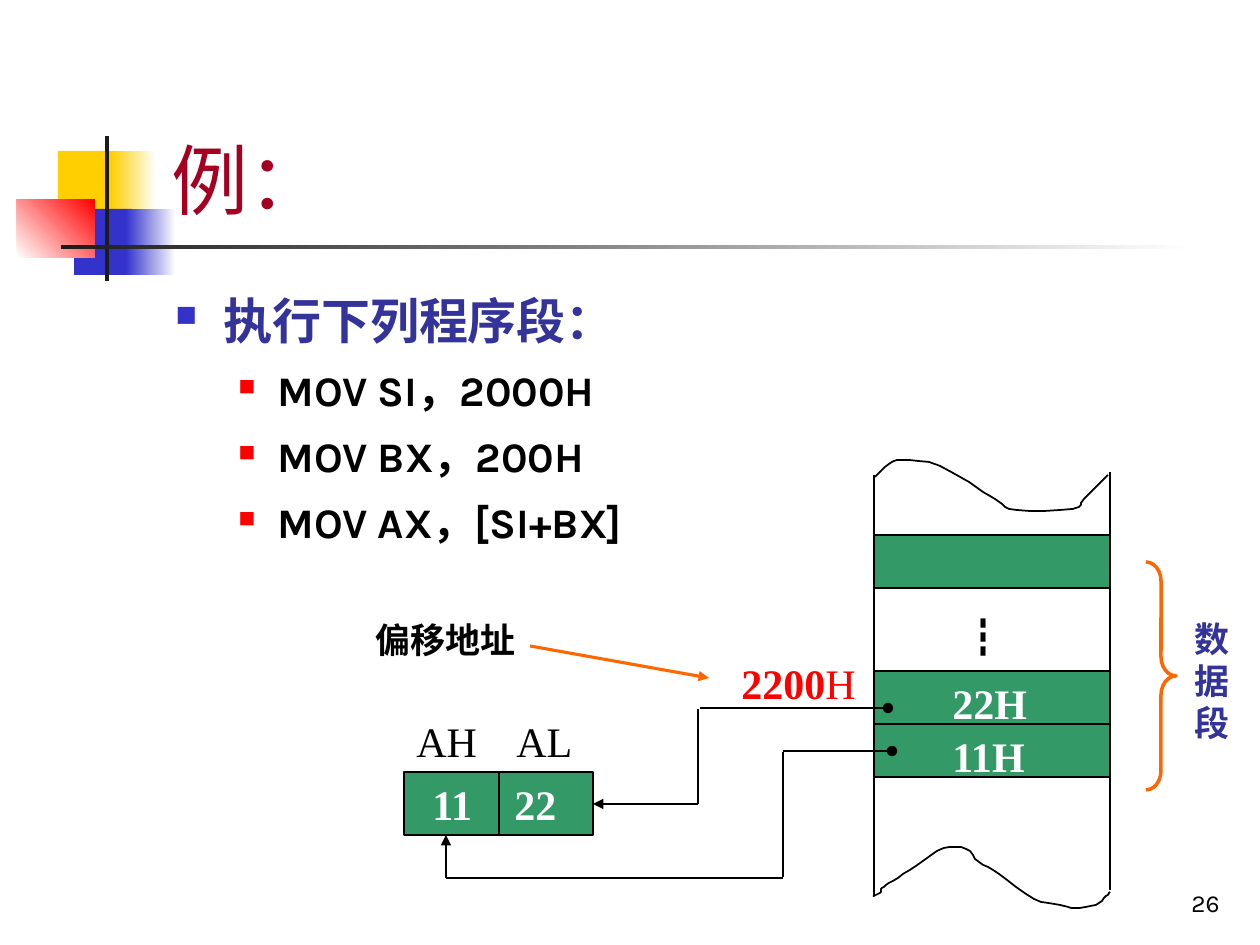
"""Build the slide on loading a word from the data segment into AX."""
import pptx
import pptx.util
import pptx.dml.color
import pptx.enum.shapes
import pptx.enum.text
import pptx.oxml.ns
import lxml.etree

Pt = pptx.util.Pt
RGBColor = pptx.dml.color.RGBColor
KIND = pptx.enum.shapes.MSO_SHAPE
ALIGN = pptx.enum.text.PP_ALIGN
ANCHOR = pptx.enum.text.MSO_ANCHOR
qn = pptx.oxml.ns.qn
PX = 914400 / 126

BLACK = RGBColor(0, 0, 0)
WHITE = RGBColor(255, 255, 255)
RED = RGBColor(255, 0, 0)
GOLD = RGBColor(0xFF, 0xCF, 0x01)
BLUE = RGBColor(0x33, 0x33, 0xCC)
NAVY = RGBColor(0x33, 0x33, 0x99)
DARK = RGBColor(0x1C, 0x1C, 0x1C)
WINE = RGBColor(0xA5, 0x00, 0x21)
GREEN = RGBColor(0x33, 0x99, 0x66)
ORANGE = RGBColor(0xFF, 0x66, 0x00)
SERIF = "Times New Roman"
SANS = "Karla"

deck = pptx.Presentation()
deck.slide_width, deck.slide_height = round(1260 * PX), round(945 * PX)
slide = deck.slides.add_slide(deck.slide_layouts[6])
shapes = slide.shapes


def write(text, area, size, color, font=SERIF, bold=False):
    frame = shapes.add_textbox(*[round(n * PX) for n in area]).text_frame
    frame.word_wrap = True
    frame.text = text
    for para in frame.paragraphs:
        for run in para.runs:
            run.font.name, run.font.size = font, Pt(size)
            run.font.bold, run.font.color.rgb = bold, color
    return frame


def link(ends, color=BLACK, width=1.5, tail=None):
    kind = pptx.enum.shapes.MSO_CONNECTOR.STRAIGHT
    line = shapes.add_connector(kind, *[round(n * PX) for n in ends])
    line.line.color.rgb, line.line.width = color, Pt(width)
    if tail:
        pen = line.line._get_or_add_ln()
        lxml.etree.SubElement(pen, qn("a:tailEnd"), type=tail)
    lxml.etree.SubElement(line._element.spPr, qn("a:effectLst"))


for area, first, last, angle in [
    ((58, 151, 60, 66), GOLD, None, 0),
    ((111, 151, 45, 66), GOLD, WHITE, 0),
    ((74, 209, 58, 66), BLUE, None, 0),
    ((126, 209, 50, 66), BLUE, WHITE, 0),
    ((17, 199, 78, 59), WHITE, RED, 45),
    ((105, 136, 4, 145), DARK, None, 0),
    ((61, 245, 1134, 4), DARK, WHITE, 0),
]:
    tile = shapes.add_shape(KIND.RECTANGLE, *[round(n * PX) for n in area])
    tile.shadow.inherit = False
    tile.line.fill.background()
    if last is None:
        tile.fill.solid()
        tile.fill.fore_color.rgb = first
    else:
        tile.fill.gradient()
        tile.fill.gradient_angle = angle
        for stop, color in zip(tile.fill.gradient_stops, (first, last)):
            stop.color.rgb = color

page = write("26", (970, 861, 262, 63), 14, BLACK, SANS)
page.vertical_anchor = ANCHOR.BOTTOM
page.paragraphs[0].alignment = ALIGN.RIGHT
title = write("例：", (159, 29, 1074, 202), 44, WINE, SANS)
title.vertical_anchor = ANCHOR.BOTTOM

steps = ["执行下列程序段：", "MOV SI，2000H", "MOV BX，200H", "MOV AX，[SI+BX]"]
body = write("\n".join(steps), (163, 278, 1071, 314), 24, BLACK, SANS, True)
for i, para in enumerate(body.paragraphs):
    size, left, hang, dot, part = (24, 102, 39, RED, 55) if i else (28, 48, 48, BLUE, 60)
    para.level = min(i, 1)
    para.line_spacing = 1.1
    para.space_before, para.space_after = Pt(size * 0.2), Pt(size * 0.05)
    para.runs[0].font.size = Pt(size)
    props = para._p.get_or_add_pPr()
    props.set("marL", str(round(left * PX)))
    props.set("indent", str(round(-hang * PX)))
    tint = lxml.etree.SubElement(props, qn("a:buClr"))
    lxml.etree.SubElement(tint, qn("a:srgbClr"), val=str(dot))
    lxml.etree.SubElement(props, qn("a:buSzPct"), val=str(part * 1000))
    lxml.etree.SubElement(props, qn("a:buChar"), char="■")
body.paragraphs[0].runs[0].font.color.rgb = NAVY

for area in [(874, 535, 236, 53), (874, 671, 236, 53), (874, 724, 236, 53),
             (404, 772, 189, 63)]:
    cell = shapes.add_shape(KIND.RECTANGLE, *[round(n * PX) for n in area])
    cell.shadow.inherit = False
    cell.fill.solid()
    cell.fill.fore_color.rgb = GREEN
    cell.line.color.rgb, cell.line.width = BLACK, Pt(1)

for ends in [(874, 475, 874, 896), (1110, 472, 1110, 890), (499, 772, 499, 835)]:
    link(ends, width=1)

for knots in [
    [(875, 477), (889, 464), (902, 460), (940, 466), (995, 499), (1016, 510),
     (1073, 509), (1084, 499), (1108, 475)],
    [(873, 896), (880, 893), (882, 888), (893, 881), (916, 866), (944, 848),
     (966, 849), (979, 862), (999, 874), (1034, 899), (1060, 905),
     (1075, 908), (1096, 905), (1106, 896), (1110, 892)],
]:
    points = []
    for a, b, c, d in zip(knots[:1] + knots, knots, knots[1:], knots[2:] + knots[-1:]):
        for t in (0.25, 0.5, 0.75, 1):
            points.append([
                q + t / 2 * (r - p + t * (2 * p - 5 * q + 4 * r - s
                                          + t * (3 * q - p - 3 * r + s)))
                for p, q, r, s in zip(a, b, c, d)])
    path = shapes.build_freeform(*knots[0], scale=PX)
    path.add_line_segments(points, close=False)
    wave = path.convert_to_shape()
    wave.shadow.inherit = False
    wave.fill.background()
    wave.line.color.rgb, wave.line.width = BLACK, Pt(1)

for text, area, size, color, bold in [
    ("22H", (940, 671, 116, 63), 24, WHITE, True),
    ("11H", (940, 724, 116, 63), 24, WHITE, True),
    ("偏移地址", (363, 612, 190, 54), 20, BLACK, True),
    ("AH", (404, 709, 95, 63), 24, BLACK, False),
    ("AL", (504, 709, 95, 63), 24, BLACK, False),
    ("11", (420, 772, 75, 63), 24, WHITE, True),
    ("22", (502, 772, 75, 63), 24, WHITE, True),
    ("数据段", (1182, 611, 63, 139), 20, NAVY, True),
]:
    write(text, area, size, color, bold=bold)
write("┇", (950, 605, 84, 63), 24, BLACK, "Noto Sans CJK SC")

spot = write("2200", (729, 651, 145, 63), 24, RED, bold=True)
unit = spot.paragraphs[0].add_run()
unit.text = "H"
unit.font.name, unit.font.size = SERIF, Pt(24)
unit.font.bold, unit.font.color.rgb = False, RED

link((530, 646, 709, 678), ORANGE, 1.75, "triangle")
for ends, tail in [
    ((783, 878, 446, 878), None),
    ((446, 878, 446, 835), "triangle"),
    ((698, 709, 698, 804), None),
    ((698, 804, 593, 804), "triangle"),
    ((700, 708, 888, 708), "oval"),
    ((783, 751, 892, 751), "oval"),
    ((783, 752, 783, 877), None),
]:
    link(ends, tail=tail)

brace = shapes.add_shape(KIND.RIGHT_BRACE, *[round(n * PX) for n in (1146, 562, 30, 228)])
brace.shadow.inherit = False
brace.fill.background()
brace.line.color.rgb, brace.line.width = ORANGE, Pt(2)
brace.adjustments[0], brace.adjustments[1] = 0.64, 0.5

deck.save("out.pptx")
